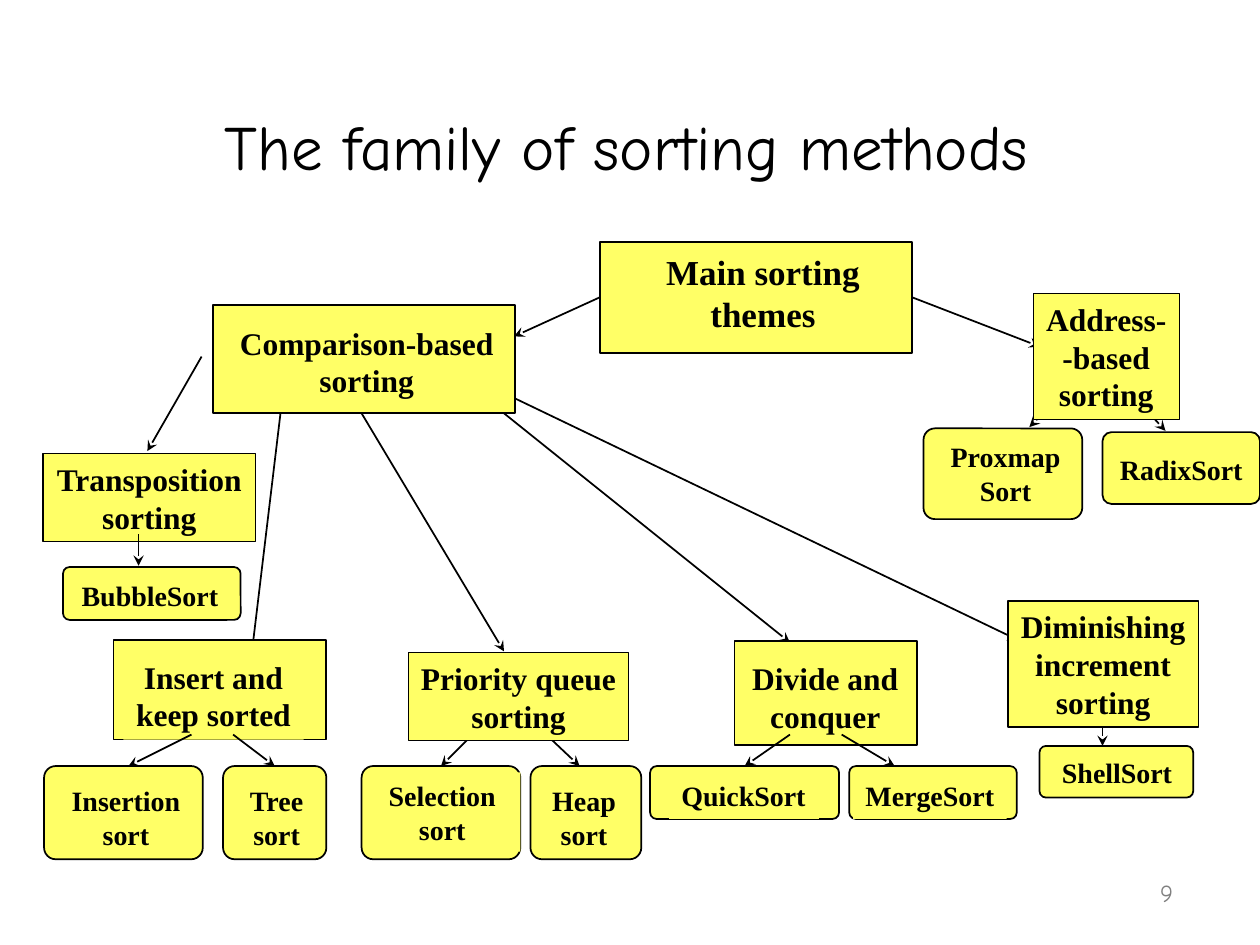
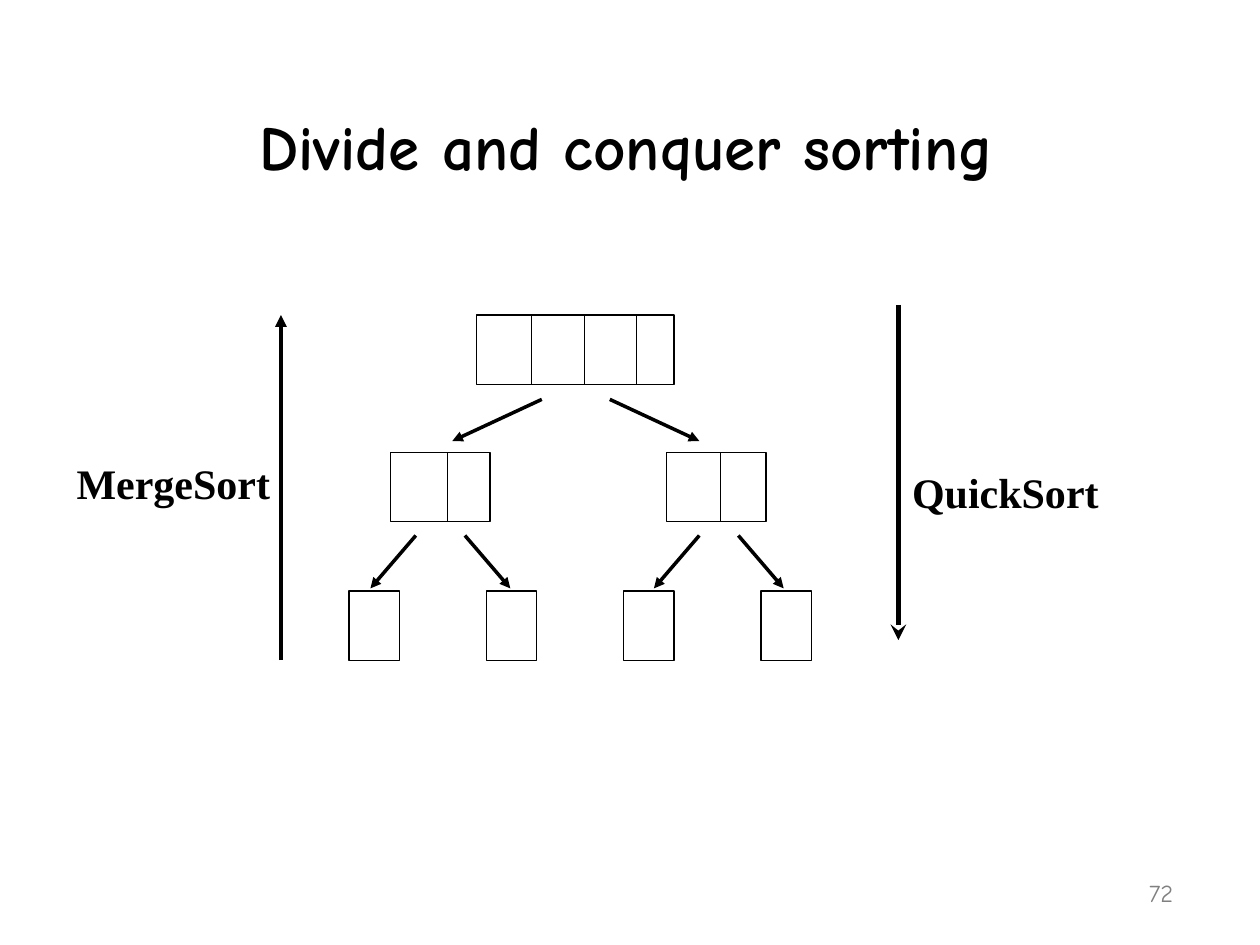
from dataclasses import dataclass

import pptx
import pptx.dml.color
import pptx.enum.shapes
import pptx.enum.text
import pptx.oxml
import pptx.oxml.ns
import pptx.util

PX = 9144
RGB = pptx.dml.color.RGBColor
SHAPE = pptx.enum.shapes.MSO_SHAPE
ALIGN = pptx.enum.text.PP_ALIGN
ANCHOR = pptx.enum.text.MSO_ANCHOR
FIT = pptx.enum.text.MSO_AUTO_SIZE
qn = pptx.oxml.ns.qn


@dataclass(frozen=True)
class Theme:
    ink: RGB = RGB(0x00, 0x00, 0x00)
    node: RGB = RGB(0xFF, 0xFF, 0x66)
    number: RGB = RGB(0x80, 0x80, 0x80)
    heading_font: str = "Comic Neue"
    label_font: str = "Times New Roman"
    title_size: int = 36
    side_size: int = 24
    root_size: int = 20
    family_size: int = 18
    method_size: int = 16
    number_size: int = 14


T = Theme()


def write(sp, text, size, font, color, bold, align, anchor, wrap=True, fit=FIT.NONE):
    tf = sp.text_frame
    tf.text = text
    tf.word_wrap = wrap
    tf.auto_size = fit
    tf.vertical_anchor = anchor
    for p in tf.paragraphs:
        p.alignment = align
        for r in p.runs:
            r.font.size = pptx.util.Pt(size)
            r.font.name = font
            r.font.bold = bold
            r.font.color.rgb = color


def link(s, x1, y1, x2, y2, width, head=None):
    cxn = s.shapes.add_connector(
        pptx.enum.shapes.MSO_CONNECTOR.STRAIGHT, x1 * PX, y1 * PX, x2 * PX, y2 * PX
    )
    cxn.line.color.rgb = T.ink
    cxn.line.width = pptx.util.Pt(width)
    spPr = cxn.element.spPr
    if head:
        tail = pptx.oxml.parse_xml(
            f'<a:tailEnd {pptx.oxml.ns.nsdecls("a")} type="{head}"/>'
        )
        spPr.find(qn("a:ln")).append(tail)
    spPr.append(pptx.oxml.parse_xml(f'<a:effectLst {pptx.oxml.ns.nsdecls("a")}/>'))
    return cxn


prs = pptx.Presentation()
prs.slide_width, prs.slide_height = 1000 * PX, 750 * PX

slides = []
for title, number, bold in (
    ("The family of sorting methods", "9", False),
    ("Divide and conquer sorting", "72", True),
):
    s = prs.slides.add_slide(prs.slide_layouts[5])
    sp = s.shapes.title
    sp.left, sp.top, sp.width, sp.height = 44 * PX, 25 * PX, 906 * PX, 125 * PX
    write(sp, title, T.title_size, T.heading_font, T.ink, bold, ALIGN.CENTER, ANCHOR.BOTTOM)
    sp = s.shapes.add_textbox(733 * PX, 675 * PX, 208 * PX, 50 * PX)
    write(sp, number, T.number_size, T.heading_font, T.number, False, ALIGN.RIGHT, ANCHOR.BOTTOM)
    slides.append(s)

family, divide = slides

for x1, y1, x2, y2 in (
    (225, 308, 200, 517),
    (275, 308, 400, 517),
    (375, 308, 627, 510),
    (375, 300, 808, 508),
    (160, 283, 117, 358),
):
    link(family, x1, y1, x2, y2, 1, "stealth")

frames = {}
for name, kind, x, y, w, h in (
    ("main", SHAPE.RECTANGLE, 476, 192, 248, 88),
    ("comparison", SHAPE.RECTANGLE, 169, 242, 240, 86),
    ("insert", SHAPE.RECTANGLE, 90, 508, 169, 79),
    ("divide", SHAPE.RECTANGLE, 583, 509, 145, 82),
    ("bubble", SHAPE.ROUNDED_RECTANGLE, 50, 450, 141, 42),
    ("insertion", SHAPE.ROUNDED_RECTANGLE, 35, 608, 126, 74),
    ("tree", SHAPE.ROUNDED_RECTANGLE, 177, 608, 82, 74),
    ("selection", SHAPE.ROUNDED_RECTANGLE, 287, 608, 126, 74),
    ("heap", SHAPE.ROUNDED_RECTANGLE, 421, 608, 88, 74),
    ("quick", SHAPE.ROUNDED_RECTANGLE, 516, 608, 150, 42),
    ("merge", SHAPE.ROUNDED_RECTANGLE, 674, 608, 133, 42),
    ("proxmap", SHAPE.ROUNDED_RECTANGLE, 733, 340, 126, 72),
    ("radix", SHAPE.ROUNDED_RECTANGLE, 875, 343, 125, 57),
    ("shell", SHAPE.ROUNDED_RECTANGLE, 825, 592, 122, 41),
):
    sp = family.shapes.add_shape(kind, x * PX, y * PX, w * PX, h * PX)
    sp.shadow.inherit = False
    sp.fill.solid()
    sp.fill.fore_color.rgb = T.node
    sp.line.color.rgb = T.ink
    sp.line.width = pptx.util.Pt(1)
    if kind == SHAPE.ROUNDED_RECTANGLE:
        sp.adjustments[0] = 0.125
    frames[name] = sp

plain_labels = (
    ("Main sorting themes", T.root_size, 490, 194, 231, 77, True, False),
    ("Comparison-based\nsorting", T.family_size, 180, 252, 222, 70, False, False),
    ("Transposition\nsorting", T.family_size, 34, 360, 169, 70, False, True),
    ("Insert and\nkeep sorted", T.family_size, 98, 517, 143, 70, False, False),
    ("Divide and\nconquer", T.family_size, 587, 518, 136, 70, False, False),
    ("BubbleSort", T.method_size, 55, 454, 130, 37, True, False),
    ("Insertion\nsort", T.method_size, 47, 617, 106, 63, False, False),
    ("Tree\nsort", T.method_size, 187, 617, 65, 63, False, False),
    ("Selection\nsort", T.method_size, 289, 613, 124, 63, True, False),
    ("Heap\nsort", T.method_size, 428, 617, 71, 63, False, False),
    ("QuickSort", T.method_size, 531, 613, 119, 37, False, False),
    ("MergeSort", T.method_size, 677, 613, 122, 37, False, False),
    ("Proxmap\nSort", T.method_size, 744, 344, 108, 63, False, False),
    ("RadixSort", T.method_size, 879, 354, 118, 37, False, False),
    ("ShellSort", T.method_size, 833, 595, 108, 37, False, False),
)
top_labels = (
    ("Diminishing\nincrement\nsorting", T.family_size, 800, 477, 151, 100, False, True),
    ("Address-\n-based\nsorting", T.family_size, 820, 233, 116, 100, False, True),
    ("Priority queue\nsorting", T.family_size, 324, 518, 175, 70, False, True),
)
method_arrows = (
    (475, 233, 408, 267, ("main", 1), None),
    (725, 233, 825, 275, ("main", 3), None),
    (110, 424, 110, 449, None, None),
    (152, 583, 102, 608, None, None),
    (185, 583, 218, 608, None, ("tree", 0)),
    (383, 575, 352, 608, None, ("selection", 0)),
    (425, 575, 460, 608, None, None),
    (627, 583, 593, 608, None, ("quick", 0)),
    (668, 583, 710, 608, None, None),
    (850, 306, 817, 339, None, None),
    (892, 306, 925, 342, None, None),
    (875, 558, 875, 592, None, None),
)

for labels, arrows in ((plain_labels, method_arrows), (top_labels, ())):
    for text, size, x, y, w, h, wrap, outlined in labels:
        sp = family.shapes.add_shape(SHAPE.RECTANGLE, x * PX, y * PX, w * PX, h * PX)
        sp.shadow.inherit = False
        sp.fill.solid()
        sp.fill.fore_color.rgb = T.node
        if outlined:
            sp.line.color.rgb = T.ink
            sp.line.width = pptx.util.Pt(0.75)
        else:
            sp.line.fill.background()
        one_line_method = size == T.method_size and "\n" not in text
        align = ALIGN.LEFT if one_line_method else ALIGN.CENTER
        write(sp, text, size, T.label_font, T.ink, True, align, ANCHOR.TOP, wrap, FIT.SHAPE_TO_FIT_TEXT)
    for x1, y1, x2, y2, begin, end in arrows:
        cxn = link(family, x1, y1, x2, y2, 1, "stealth")
        if begin:
            cxn.begin_connect(frames[begin[0]], begin[1])
        if end:
            cxn.end_connect(frames[end[0]], end[1])

CELL_H = 55
for top, left, pitch, count, width, dividers in (
    (250, 378, 0, 1, 157, (422, 464, 505)),
    (359, 310, 219, 2, 79, (355, 572)),
    (469, 277, 109, 4, 40, ()),
):
    for i in range(count):
        sp = divide.shapes.add_shape(
            SHAPE.RECTANGLE, (left + i * pitch) * PX, top * PX, width * PX, CELL_H * PX
        )
        sp.shadow.inherit = False
        sp.fill.background()
        sp.line.color.rgb = T.ink
        sp.line.width = pptx.util.Pt(0.75)
    for x in dividers:
        link(divide, x, top, x, top + CELL_H, 0.75)

for x, y, dx, dy in (
    (430, 317, -71, 33),
    (484, 317, 71, 33),
    (330, 425, -36, 42),
    (369, 425, 36, 42),
    (555, 425, -36, 42),
    (586, 425, 36, 42),
):
    link(divide, x, y, x + dx, y + dy, 2, "triangle")

link(divide, 713, 242, 713, 508, 3, "stealth")
link(divide, 223, 524, 223, 250, 2.25, "triangle")

for text, x, y, w in (("MergeSort", 51, 358, 180), ("QuickSort", 714, 365, 207)):
    sp = divide.shapes.add_textbox(x * PX, y * PX, w * PX, 50 * PX)
    write(sp, text, T.side_size, T.label_font, T.ink, True, ALIGN.LEFT, ANCHOR.TOP, True, FIT.SHAPE_TO_FIT_TEXT)

prs.save("out.pptx")
